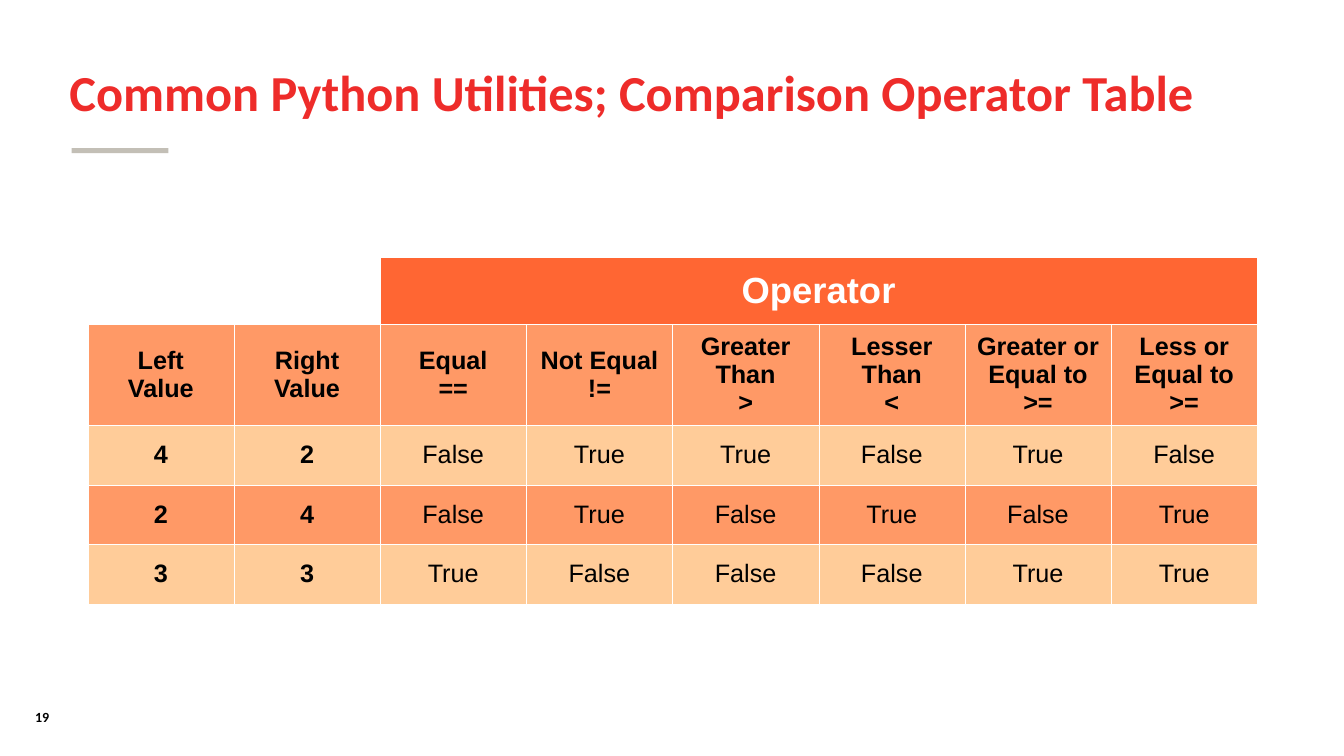
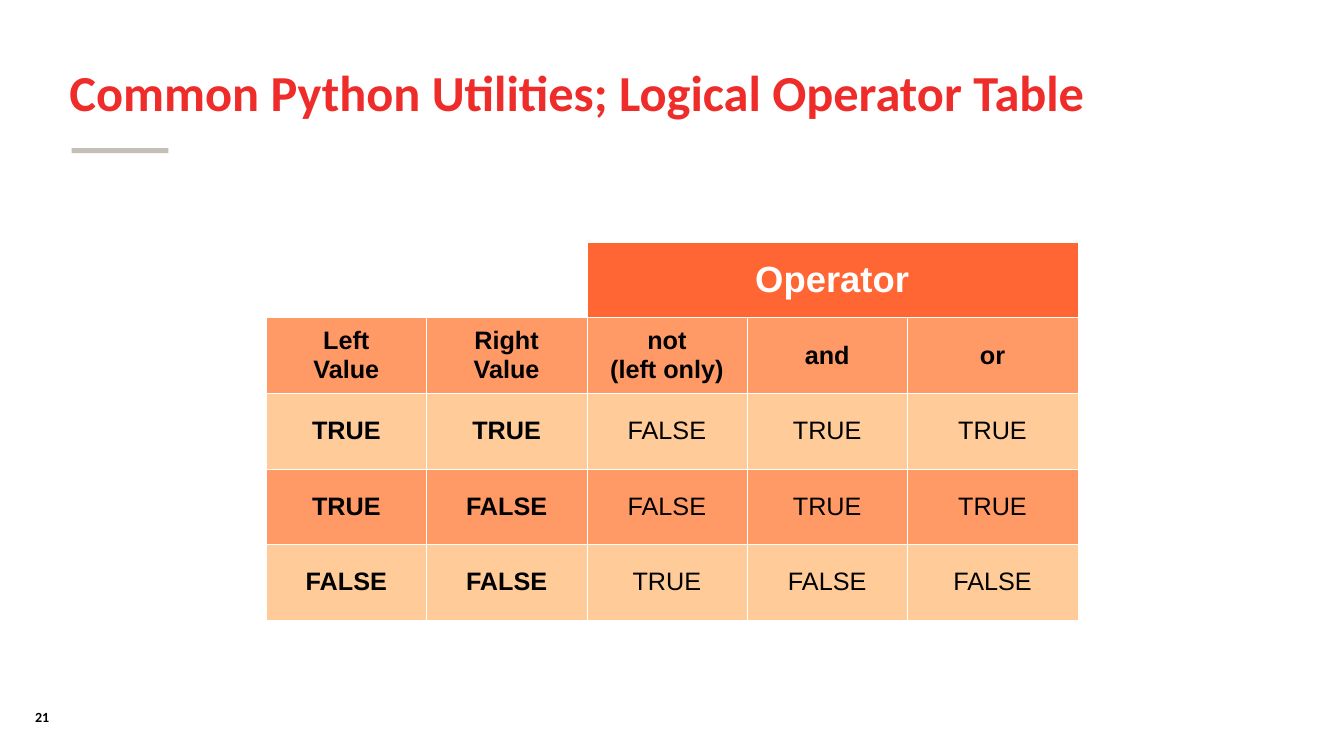
from dataclasses import dataclass

from lxml import etree
from pptx import Presentation
from pptx.dml.color import RGBColor
from pptx.enum.shapes import MSO_SHAPE
from pptx.enum.text import MSO_ANCHOR, PP_ALIGN
from pptx.oxml.ns import qn

RECT = MSO_SHAPE.RECTANGLE
TOP, MIDDLE = MSO_ANCHOR.TOP, MSO_ANCHOR.MIDDLE
LEFT, CENTER = PP_ALIGN.LEFT, PP_ALIGN.CENTER
PX = 9144  # EMU per px, 100 px to the inch
BORDER_WIDTH = 762


@dataclass(frozen=True)
class Theme:
    white: str = "FFFFFF"
    black: str = "000000"
    title: str = "EE2C2A"
    rule: str = "C3BFB6"
    operator: str = "FF6633"
    band_dark: str = "FF9966"
    band_light: str = "FFCC99"
    heading_font: str = "Calibri"
    table_font: str = "Arial"
    title_size: int = 36
    operator_size: int = 26
    cell_size: int = 18
    number_size: int = 10


THEME = Theme()

COMPARISON_ROWS = [
    ["Left\vValue", "Right\vValue", "Equal\v==", "Not Equal\v!=",
     "Greater Than\v>", "Lesser Than\v<", "Greater or Equal to\v>=",
     "Less or Equal to\v>="],
    ["4", "2", "False", "True", "True", "False", "True", "False"],
    ["2", "4", "False", "True", "False", "True", "False", "True"],
    ["3", "3", "True", "False", "False", "False", "True", "True"],
]
LOGICAL_ROWS = [
    ["Left\vValue", "Right\vValue", "not\n(left only)", "and", "or"],
    ["TRUE", "TRUE", "FALSE", "TRUE", "TRUE"],
    ["TRUE", "FALSE", "FALSE", "TRUE", "TRUE"],
    ["FALSE", "FALSE", "TRUE", "FALSE", "FALSE"],
]


def px(*lengths):
    return [n * PX for n in lengths]


def rgb(color):
    return RGBColor.from_string(color)


def write(tf, text, font, size, color, bold=True, align=LEFT, spacing=None):
    tf.text = text
    for p in tf.paragraphs:
        p.alignment = align
        if spacing:
            p.line_spacing = spacing
        p.font.name = font
        p.font.size = size * 12700
        p.font.bold = bold
        p.font.color.rgb = rgb(color)


def add_text(slide, box, text, size, color, anchor=TOP, spacing=None):
    tf = slide.shapes.add_textbox(*px(*box)).text_frame
    tf.word_wrap = True
    tf.vertical_anchor = anchor
    write(tf, text, THEME.heading_font, size, color, spacing=spacing)


def add_slide(prs, title, number):
    """Add a blank slide with the shared title, rule and page number."""
    slide = prs.slides.add_slide(prs.slide_layouts[6])
    add_text(slide, (25, 698, 114, 27), number, THEME.number_size, THEME.black)
    rule = slide.shapes.add_shape(RECT, *px(71, 147, 96, 5))
    rule.shadow.inherit = False
    rule.fill.solid()
    rule.fill.fore_color.rgb = rgb(THEME.rule)
    rule.line.fill.background()
    add_text(slide, (59, 40, 1141, 108), title, THEME.title_size, THEME.title,
             MIDDLE, 0.9)
    return slide


def style_cell(cell, fill):
    cell.vertical_anchor = MIDDLE
    tc_pr = cell._tc.get_or_add_tcPr()
    for side in ("a:lnL", "a:lnR", "a:lnT", "a:lnB"):
        ln = etree.SubElement(tc_pr, qn(side), w=str(BORDER_WIDTH))
        solid = etree.SubElement(ln, qn("a:solidFill"))
        etree.SubElement(solid, qn("a:srgbClr"), val=THEME.white)
    cell.fill.solid()
    cell.fill.fore_color.rgb = rgb(fill)


def add_operator_table(slide, left, top, widths, heights, rows):
    """Add a table whose operator columns share one merged heading."""
    frame = slide.shapes.add_table(len(heights), len(widths),
                                   *px(left, top, sum(widths), sum(heights)))
    table = frame.table
    table.first_row = table.horz_banding = False
    for column, width in zip(table.columns, widths):
        column.width = width * PX
    for row, height in zip(table.rows, heights):
        row.height = height * PX

    for c in range(len(widths)):
        style_cell(table.cell(0, c), THEME.white if c < 2 else THEME.operator)
    heading = table.cell(0, 2)
    heading.merge(table.cell(0, len(widths) - 1))
    write(heading.text_frame, "Operator", THEME.table_font,
          THEME.operator_size, THEME.white, align=CENTER)

    for r, values in enumerate(rows, start=1):
        fill = THEME.band_dark if r % 2 else THEME.band_light
        for c, value in enumerate(values):
            cell = table.cell(r, c)
            style_cell(cell, fill)
            write(cell.text_frame, value, THEME.table_font, THEME.cell_size,
                  THEME.black, bold=r == 1 or c < 2, align=CENTER)


def main():
    prs = Presentation()
    prs.slide_width, prs.slide_height = px(1333, 750)

    slide = add_slide(
        prs, "Common Python Utilities; Comparison Operator Table", "19")
    add_operator_table(slide, 87, 255, [145] * 8, [67, 94] + [59] * 3,
                       COMPARISON_ROWS)

    slide = add_slide(
        prs, "Common Python Utilities; Logical Operator Table", "21")
    add_operator_table(slide, 264, 240, [159] * 4 + [169], [75] * 5,
                       LOGICAL_ROWS)

    prs.save("out.pptx")


if __name__ == "__main__":
    main()
